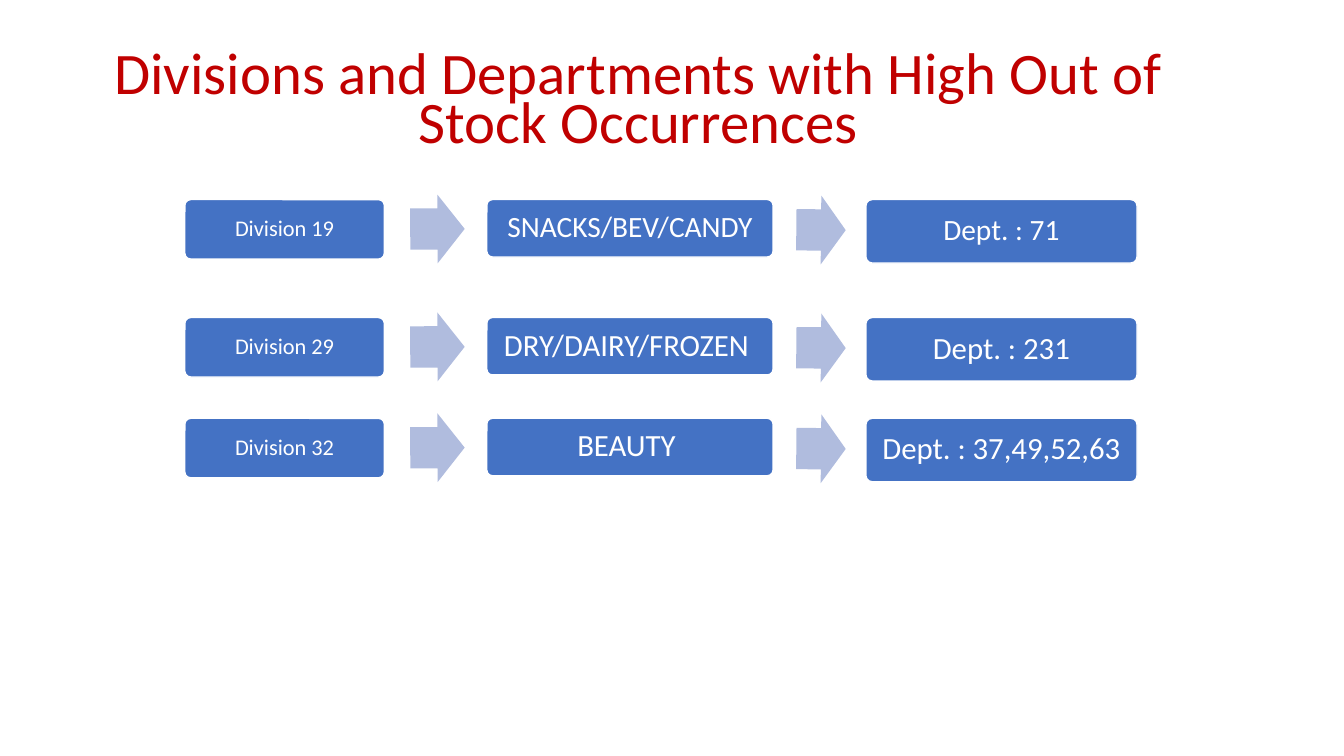
from dataclasses import dataclass

from pptx import Presentation
from pptx.dml.color import RGBColor
from pptx.enum.shapes import MSO_SHAPE
from pptx.enum.text import MSO_ANCHOR, PP_ALIGN
from pptx.slide import Slide
from pptx.text.text import TextFrame
from pptx.util import Emu, Inches, Pt

GRID_COLUMNS, GRID_ROWS = 80, 45
CELL = Inches(7.5) // GRID_ROWS


@dataclass(frozen=True)
class Theme:
    font: str = "Calibri"
    title_color: RGBColor = RGBColor(0xC0, 0x00, 0x00)
    box_color: RGBColor = RGBColor(0x44, 0x72, 0xC4)
    arrow_color: RGBColor = RGBColor(0xB0, 0xBC, 0xDE)
    light: RGBColor = RGBColor(0xFF, 0xFF, 0xFF)
    title_size: int = 42
    division_size: int = 16
    detail_size: int = 22
    tight_detail_size: int = 21


@dataclass(frozen=True)
class Area:
    column: float
    row: float
    columns: float
    rows: float

    def below(self, row: float) -> "Area":
        return Area(self.column, self.row + row, self.columns, self.rows)

    def emu(self) -> list[Emu]:
        cells = (self.column, self.row, self.columns, self.rows)
        return [Emu(round(cell * CELL)) for cell in cells]


@dataclass(frozen=True)
class ArrowStage:
    area: Area
    rotation: float


@dataclass(frozen=True)
class Division:
    row: float
    name: str
    category: str
    departments: str
    detail_size: int


THEME = Theme()
TITLE_AREA = Area(4.44, 2.34, 67.08, 7.08)
DIVISION_AREA = Area(11, 0, 11.88, 3.54)
CATEGORY_AREA = Area(28.98, 0, 17.04, 3.42)
DEPARTMENT_AREA = Area(51.54, 0, 16.14, 3.78)
ARROW_STAGES = (
    ArrowStage(Area(24.42, -0.3, 3.24, 4.1), 359.8),
    ArrowStage(Area(47.4, -0.24, 2.94, 4.1), 0.5),
)
DIVISIONS = (
    Division(11.88, "Division 19", "SNACKS/BEV/CANDY", "Dept. : 71", THEME.tight_detail_size),
    Division(18.9, "Division 29", "DRY/DAIRY/FROZEN ", "Dept. : 231", THEME.detail_size),
    Division(24.9, "Division 32", "BEAUTY ", "Dept. : 37,49,52,63", THEME.detail_size),
)


def write(frame: TextFrame, text: str, size: int, color: RGBColor,
          spacing: float, anchor: MSO_ANCHOR) -> None:
    frame.word_wrap = True
    frame.vertical_anchor = anchor
    paragraph = frame.paragraphs[0]
    paragraph.text = text
    paragraph.alignment = PP_ALIGN.CENTER
    paragraph.line_spacing = spacing
    paragraph.font.name = THEME.font
    paragraph.font.size = Pt(size)
    paragraph.font.color.rgb = color


def draw_title(slide: Slide, text: str) -> None:
    title = slide.shapes.add_textbox(*TITLE_AREA.emu())
    write(title.text_frame, text, THEME.title_size, THEME.title_color, 0.7, MSO_ANCHOR.BOTTOM)


def draw_box(slide: Slide, area: Area, text: str, size: int) -> None:
    box = slide.shapes.add_shape(MSO_SHAPE.ROUNDED_RECTANGLE, *area.emu())
    box.adjustments[0] = 0.1
    box.shadow.inherit = False
    box.fill.solid()
    box.fill.fore_color.rgb = THEME.box_color
    box.line.color.rgb = THEME.light
    box.line.width = Pt(1)
    frame = box.text_frame
    frame.margin_left = frame.margin_right = Inches(0.1)
    frame.margin_top = frame.margin_bottom = Inches(0.1)
    write(frame, text, size, THEME.light, 0.9, MSO_ANCHOR.MIDDLE)


def draw_arrow(slide: Slide, area: Area, rotation: float) -> None:
    arrow = slide.shapes.add_shape(MSO_SHAPE.RIGHT_ARROW, *area.emu())
    arrow.adjustments[0] = 0.6
    arrow.adjustments[1] = 0.5
    arrow.rotation = rotation
    arrow.shadow.inherit = False
    arrow.fill.solid()
    arrow.fill.fore_color.rgb = THEME.arrow_color
    arrow.line.fill.background()


def draw_division(slide: Slide, division: Division) -> None:
    stages = (
        (DIVISION_AREA, division.name, THEME.division_size),
        (CATEGORY_AREA, division.category, division.detail_size),
        (DEPARTMENT_AREA, division.departments, division.detail_size),
    )
    for area, text, size in stages:
        draw_box(slide, area.below(division.row), text, size)
    for stage in ARROW_STAGES:
        draw_arrow(slide, stage.area.below(division.row), stage.rotation)


def main() -> None:
    presentation = Presentation()
    presentation.slide_width = Emu(GRID_COLUMNS * CELL)
    presentation.slide_height = Emu(GRID_ROWS * CELL)
    slide = presentation.slides.add_slide(presentation.slide_layouts[6])
    draw_title(slide, "Divisions and Departments with High Out of Stock Occurrences")
    for division in DIVISIONS:
        draw_division(slide, division)
    presentation.save("out.pptx")


if __name__ == "__main__":
    main()
